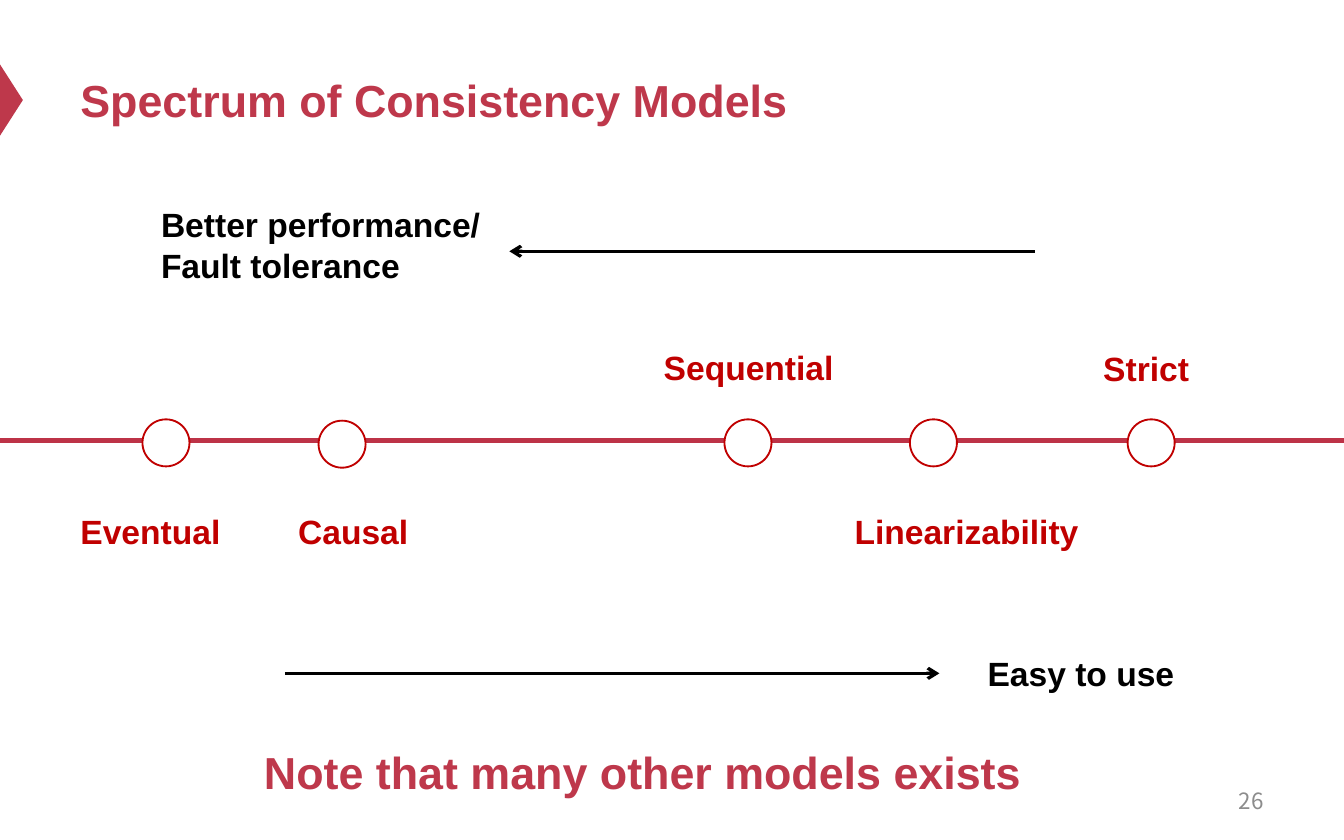
"""Builds the slide that places consistency models on a spectrum."""
from lxml import etree
from pptx import Presentation
from pptx.dml.color import RGBColor
from pptx.enum.shapes import MSO_CONNECTOR, MSO_SHAPE
from pptx.enum.text import MSO_ANCHOR, PP_ALIGN
from pptx.oxml.ns import qn
from pptx.util import Pt

PX = 9144
STRAIGHT = MSO_CONNECTOR.STRAIGHT
TRIANGLE, OVAL = MSO_SHAPE.ISOSCELES_TRIANGLE, MSO_SHAPE.OVAL
TOP, MIDDLE = MSO_ANCHOR.TOP, MSO_ANCHOR.MIDDLE
LEFT, CENTER, RIGHT = PP_ALIGN.LEFT, PP_ALIGN.CENTER, PP_ALIGN.RIGHT
ROSE, RED, BLACK, GREY = "BE384B", "C00000", "000000", "8C8C8C"


def add_text(box, text, size, color, align=LEFT, anchor=TOP, wrap=False, font="Arial", bold=True):
    frame = slide.shapes.add_textbox(*[v * PX for v in box]).text_frame
    frame.word_wrap = wrap
    frame.vertical_anchor = anchor
    frame.text = text
    for paragraph in frame.paragraphs:
        paragraph.alignment = align
        for run in paragraph.runs:
            run.font.name = font
            run.font.size = Pt(size)
            run.font.bold = bold
            run.font.color.rgb = RGBColor.from_string(color)


def add_line(start, end, y, color, width, arrow=False):
    line = slide.shapes.add_connector(STRAIGHT, start * PX, y * PX, end * PX, y * PX)
    line.line.color.rgb = RGBColor.from_string(color)
    line.line.width = Pt(width)
    if arrow:
        etree.SubElement(line.line._get_or_add_ln(), qn("a:tailEnd"), type="arrow")
    etree.SubElement(line._element.spPr, qn("a:effectLst"))


prs = Presentation()
prs.slide_width, prs.slide_height = 1000 * PX, 625 * PX
slide = prs.slides.add_slide(prs.slide_layouts[6])

marker = slide.shapes.add_shape(TRIANGLE, -18 * PX, 66 * PX, 53 * PX, 17 * PX)
marker.rotation = 90
marker.shadow.inherit = False
marker.fill.solid()
marker.fill.fore_color.rgb = RGBColor.from_string(ROSE)
marker.line.fill.background()

add_text((50, 25, 900, 98), "Spectrum of Consistency Models", 24, ROSE, anchor=MIDDLE, wrap=True)
add_text((717, 579, 233, 33), "26", 12, GREY, RIGHT, MIDDLE, True, "Noto Sans CJK SC", False)

add_line(0, 1000, 328, "BD3347", 2.5)
models = [
    ("Eventual", 106, 312, (50, 375, 125, 40)),
    ("Causal", 237, 313, (212, 375, 110, 40)),
    ("Sequential", 539, 312, (484, 253, 148, 40)),
    ("Linearizability", 677, 312, (626, 375, 188, 40)),
    ("Strict", 839, 312, (811, 254, 92, 40)),
]
for model, x, y, label_box in models:
    stop = slide.shapes.add_shape(OVAL, x * PX, y * PX, 35 * PX, 35 * PX)
    stop.shadow.inherit = False
    stop.fill.solid()
    stop.fill.fore_color.rgb = RGBColor.from_string("FFFFFF")
    stop.line.color.rgb = RGBColor.from_string(RED)
    stop.line.width = Pt(1)
    add_text(label_box, model, 18, RED)

add_text((110, 147, 260, 71), "Better performance/\nFault tolerance", 18, BLACK)
add_line(770, 379, 187, BLACK, 1.75, arrow=True)
add_text((725, 481, 160, 40), "Easy to use", 18, BLACK)
add_line(212, 699, 501, BLACK, 1.75, arrow=True)
add_text((28, 525, 900, 98), "Note that many other models exists", 24, ROSE, CENTER, MIDDLE, True)

prs.save("out.pptx")
